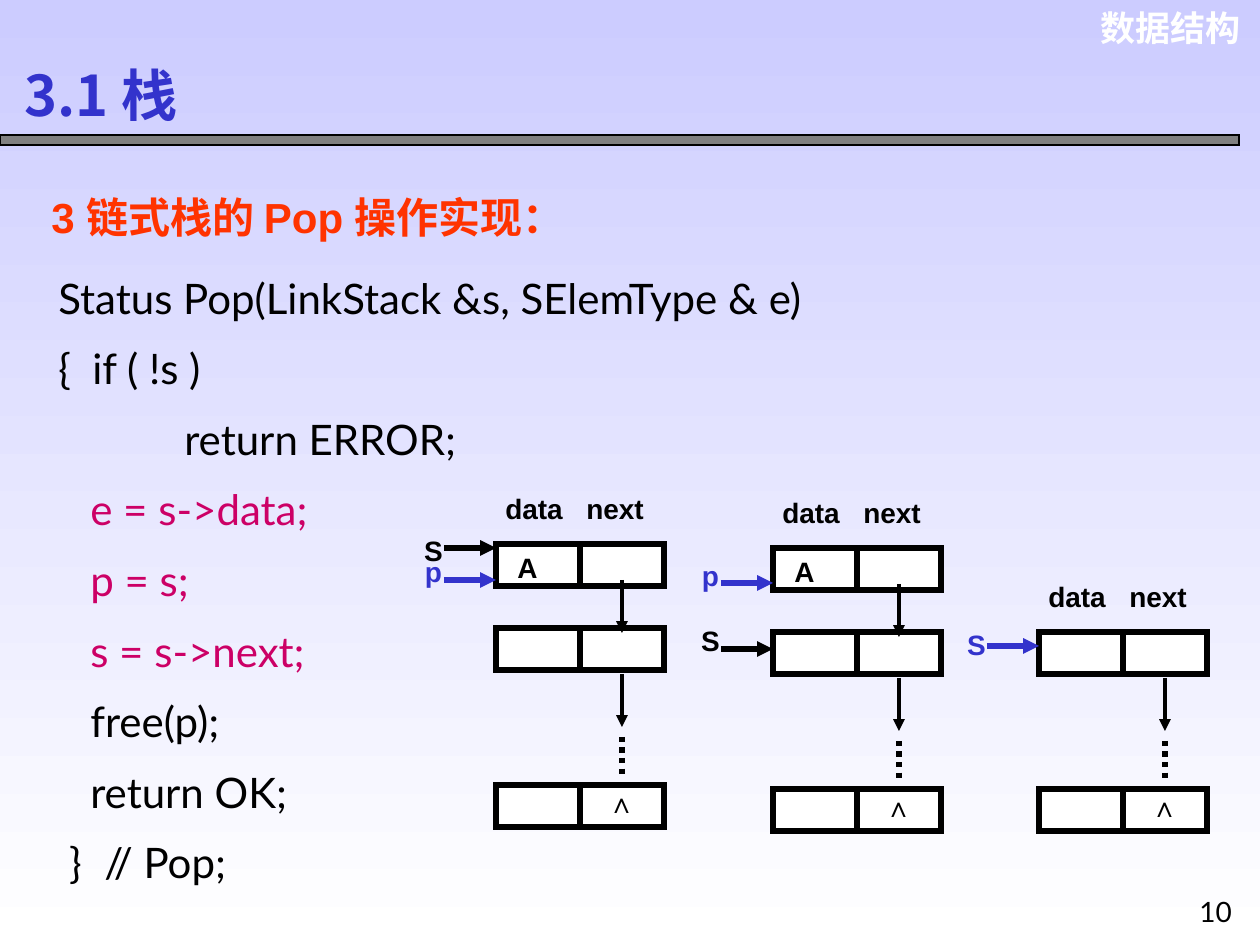
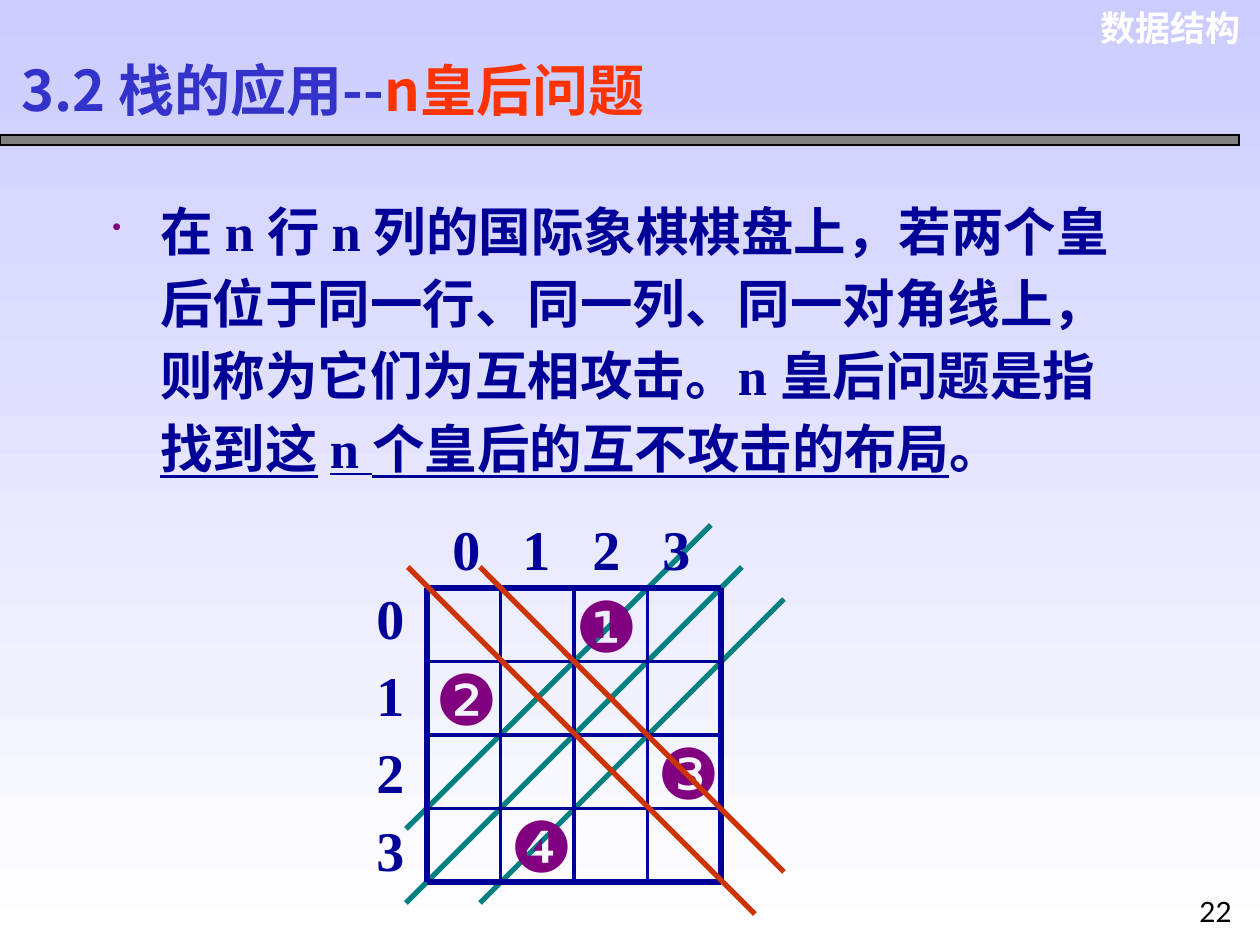
from dataclasses import dataclass

from lxml.etree import SubElement
from pptx import Presentation
from pptx.dml.color import RGBColor
from pptx.enum.dml import MSO_LINE
from pptx.enum.shapes import MSO_CONNECTOR, MSO_SHAPE
from pptx.enum.text import MSO_ANCHOR, PP_ALIGN
from pptx.oxml import parse_xml
from pptx.oxml.ns import nsdecls, qn
from pptx.util import Emu, Pt


@dataclass(frozen=True)
class Theme:
    sky: str = "CCCCFF"
    white: str = "FFFFFF"
    black: str = "000000"
    band: str = "808080"
    blue: str = "3333CC"
    orange: str = "FF3300"
    magenta: str = "CC0066"
    navy: str = "000099"
    purple: str = "800080"
    teal: str = "008080"
    rust: str = "CC3300"
    sans: str = "Arial"
    serif: str = "Times New Roman"
    code: str = "Lato"
    cjk: str = "Noto Sans CJK SC"
    small: int = 16
    course: int = 20
    text: int = 24
    body: int = 30
    title: int = 32
    queen: int = 40


T = Theme()
EMU_PER_PX = 914400 / 126
COURSE = "数据结构"

POP_HEADING = "3 链式栈的 Pop 操作实现："
POP_CODE = [
    ("Status Pop(LinkStack &s, SElemType & e)", 0, T.black),
    ("{\tif ( !s )", 0, T.black),
    ("return ERROR;", 126, T.black),
    ("e = s->data;", 32, T.magenta),
    ("p = s;", 32, T.magenta),
    ("s = s->next;", 32, T.magenta),
    ("free(p);", 32, T.black),
    ("return OK;", 32, T.black),
    (" }\t// Pop;", 0, T.black),
]
CODE_TABS = {1: [34], 8: [46]}

NODE_W, NODE_H = 168, 42
SECOND_NODE, LAST_NODE = 84, 241
STACKS = [
    {"left": 496, "top": 544, "has_top_node": True,
     "pointers": [("S", 548, 527, T.black), ("p", 580, 548, T.blue)]},
    {"left": 773, "top": 548, "has_top_node": True,
     "pointers": [("S", 649, 617, T.black), ("p", 583, 552, T.blue)]},
    {"left": 1039, "top": 548, "has_top_node": False,
     "pointers": [("S", 646, 621, T.blue)]},
]

QUEENS_TITLE = [("3.2 栈的应用--", {}), ("n皇后问题", {"color": T.orange})]
QUEENS_RULE = [
    ("在 n 行 n 列的国际象棋棋盘上，若两个皇后位于同一行、同一列、同一对角线上，"
     "则称为它们为互相攻击。n 皇后问题是指", {}),
    ("找到这", {"underline": True}),
    (" ", {}),
    ("n 个皇后的互不攻击的布局", {"underline": True}),
    ("。", {}),
]
BOARD_LEFT, BOARD_TOP, BOARD_SIZE, BOARD_N = 427, 588, 294, 4
QUEENS = [("❶", 0, 563), ("❷", 1, 423), ("❸", 2, 645), ("❹", 3, 498)]
RISING = [(711, 525, 406, 829), (742, 567, 406, 903), (480, 903, 784, 599)]
FALLING = [(480, 567, 784, 872), (408, 567, 755, 914)]


def px(length):
    return Emu(round(length * EMU_PER_PX))


def rgb(color):
    return RGBColor.from_string(color)


def add_text(slide, box, paragraphs, size, color, font=T.sans, bold=False,
             align=PP_ALIGN.LEFT, spacing=None, anchor=MSO_ANCHOR.TOP, wrap=True):
    shape = slide.shapes.add_textbox(*map(px, box))
    frame = shape.text_frame
    frame.word_wrap = wrap
    frame.vertical_anchor = anchor
    for index, content in enumerate(paragraphs):
        paragraph = frame.add_paragraph() if index else frame.paragraphs[0]
        paragraph.alignment = align
        if spacing:
            paragraph.line_spacing = spacing
        paragraph.font.size = Pt(size)
        paragraph.font.bold = bold
        paragraph.font.name = font
        paragraph.font.color.rgb = rgb(color)
        for text, changes in [(content, {})] if isinstance(content, str) else content:
            run = paragraph.add_run()
            run.text = text
            if "color" in changes:
                run.font.color.rgb = rgb(changes["color"])
            if "underline" in changes:
                run.font.underline = True
    for latin in list(shape.element.iter(qn("a:latin"))):
        latin.addnext(parse_xml(f'<a:ea {nsdecls("a")} typeface="{T.cjk}"/>'))
    return frame


def add_before_font(paragraph, xml):
    paragraph._p.pPr.find(qn("a:defRPr")).addprevious(parse_xml(xml))


def set_tabs(paragraph, stops):
    tabs = "".join(f'<a:tab pos="{px(stop)}" algn="l"/>' for stop in stops)
    add_before_font(paragraph, f'<a:tabLst {nsdecls("a")}>{tabs}</a:tabLst>')


def add_line(slide, ends, color, width, arrow=False, dotted=False):
    line = slide.shapes.add_connector(MSO_CONNECTOR.STRAIGHT, *map(px, ends))
    line.line.color.rgb = rgb(color)
    line.line.width = Pt(width)
    if dotted:
        line.line.dash_style = MSO_LINE.ROUND_DOT
    if arrow:
        SubElement(line.line._get_or_add_ln(), qn("a:tailEnd"), type="triangle")
    SubElement(line.element.spPr, qn("a:effectLst"))
    return line


def add_box(slide, box, fill, width):
    shape = slide.shapes.add_shape(MSO_SHAPE.RECTANGLE, *map(px, box))
    shape.shadow.inherit = False
    shape.fill.solid()
    shape.fill.fore_color.rgb = rgb(fill)
    shape.line.color.rgb = rgb(T.black)
    shape.line.width = Pt(width)
    SubElement(shape.line._get_or_add_ln(), qn("a:miter"), lim="800000")
    return shape


def add_base_slide(prs, number):
    slide = prs.slides.add_slide(prs.slide_layouts[6])
    fill = slide.background.fill
    fill.gradient()
    fill.gradient_angle = 270
    for stop, color in zip(fill.gradient_stops, (T.sky, T.white)):
        stop.color.rgb = rgb(color)
    add_text(slide, (1081, 0, 172, 55), [COURSE], T.course, T.white, bold=True,
             align=PP_ALIGN.RIGHT)
    add_box(slide, (0, 135, 1239, 10), T.band, 0.75)
    add_text(slide, (1187, 888, 63, 53), [number], T.small, T.black, T.code)
    return slide


def add_node(slide, left, top):
    node = add_box(slide, (left, top, NODE_W, NODE_H), T.white, 3)
    middle = left + NODE_W // 2
    divider = add_line(slide, (middle, top, middle, top + NODE_H), T.black, 3)
    divider.begin_connect(node, 0)
    divider.end_connect(node, 2)


def add_label(slide, left, top, text, color=T.black):
    add_text(slide, (left, top, 63, 47), [text], T.small, color, bold=True,
             align=PP_ALIGN.CENTER)


def add_stack(slide, stack):
    left, top = stack["left"], stack["top"]
    second, last = top + SECOND_NODE, top + LAST_NODE
    link = left + NODE_W * 3 // 4
    first = top if stack["has_top_node"] else second
    header = add_text(slide, (left - 3, first - 59, 179, 47), ["data\tnext"],
                      T.small, T.black, bold=True)
    set_tabs(header.paragraphs[0], [81])
    for node_top in (first, second, last) if first < second else (second, last):
        add_node(slide, left, node_top)
    if stack["has_top_node"]:
        add_line(slide, (link, top + 36, link, top + 89), T.black, 2.25, arrow=True)
        add_label(slide, left, top, "A")
    add_line(slide, (link, top + 130, link, top + 183), T.black, 2.25, arrow=True)
    add_line(slide, (link, top + 193, link, top + 231), T.black, 3, dotted=True)
    add_label(slide, link - 32, last - 6, "∧")
    for name, arrow_y, label_top, color in stack["pointers"]:
        add_line(slide, (left - 52, arrow_y, left, arrow_y), color, 3, arrow=True)
        add_label(slide, left - 94, label_top, name, color)


def add_pop_slide(prs):
    slide = add_base_slide(prs, "10")
    add_text(slide, (12, 58, 283, 73), ["3.1 栈"], T.title, T.blue, T.cjk, True,
             anchor=MSO_ANCHOR.MIDDLE)
    add_text(slide, (39, 185, 568, 63), [POP_HEADING], T.text, T.orange, bold=True)
    code = add_text(slide, (46, 246, 842, 648), [line for line, _, _ in POP_CODE],
                    T.text, T.black, T.code, spacing=1.4)
    for index, (paragraph, (_, indent, color)) in enumerate(zip(code.paragraphs, POP_CODE)):
        paragraph.font.color.rgb = rgb(color)
        if indent:
            paragraph._p.pPr.set("marL", str(px(indent)))
            paragraph._p.pPr.set("indent", "0")
        if index in CODE_TABS:
            set_tabs(paragraph, CODE_TABS[index])
    for stack in STACKS:
        add_stack(slide, stack)


def add_board(slide):
    cell = BOARD_SIZE / BOARD_N
    right, bottom = BOARD_LEFT + BOARD_SIZE, BOARD_TOP + BOARD_SIZE
    for ends in RISING:
        add_line(slide, ends, T.teal, 3)
    for index in range(BOARD_N + 1):
        width = 3 if index in (0, BOARD_N) else 2.25
        x, y = BOARD_LEFT + index * cell, BOARD_TOP + index * cell
        add_line(slide, (BOARD_LEFT, y, right, y), T.navy, width)
        add_line(slide, (x, BOARD_TOP, x, bottom), T.navy, width)
    for queen, row, left in QUEENS:
        add_text(slide, (left, BOARD_TOP + row * cell - 12, 88, 97), [queen],
                 T.queen, T.purple, wrap=False)
    for ends in FALLING:
        add_line(slide, ends, T.rust, 3)
    numbers = [str(index) for index in range(BOARD_N)]
    columns = add_text(slide, (440, 508, 291, 81), ["\t".join(numbers)],
                       T.title, T.navy, T.serif, True)
    set_tabs(columns.paragraphs[0], [70 * index for index in range(1, BOARD_N)])
    add_text(slide, (364, 567, 53, 323), numbers, T.title, T.navy, T.serif, True,
             spacing=1.15)


def add_queens_slide(prs):
    slide = add_base_slide(prs, "22")
    add_text(slide, (9, 49, 1188, 81), [QUEENS_TITLE], T.title, T.blue, T.cjk, True)
    rule = add_text(slide, (100, 183, 1050, 591), [QUEENS_RULE], T.body, T.navy,
                    T.serif, True, spacing=1.15).paragraphs[0]
    rule._p.pPr.set("marL", str(px(48)))
    rule._p.pPr.set("indent", str(px(-48)))
    rule._p.pPr.set("hangingPunct", "0")
    for bullet in (
        f'<a:buClr {nsdecls("a")}><a:srgbClr val="{T.purple}"/></a:buClr>',
        f'<a:buSzPct {nsdecls("a")} val="50000"/>',
        f'<a:buChar {nsdecls("a")} char="•"/>',
    ):
        add_before_font(rule, bullet)
    add_board(slide)


def main():
    prs = Presentation()
    prs.slide_width, prs.slide_height = px(1260), px(945)
    add_pop_slide(prs)
    add_queens_slide(prs)
    prs.save("out.pptx")


if __name__ == "__main__":
    main()
